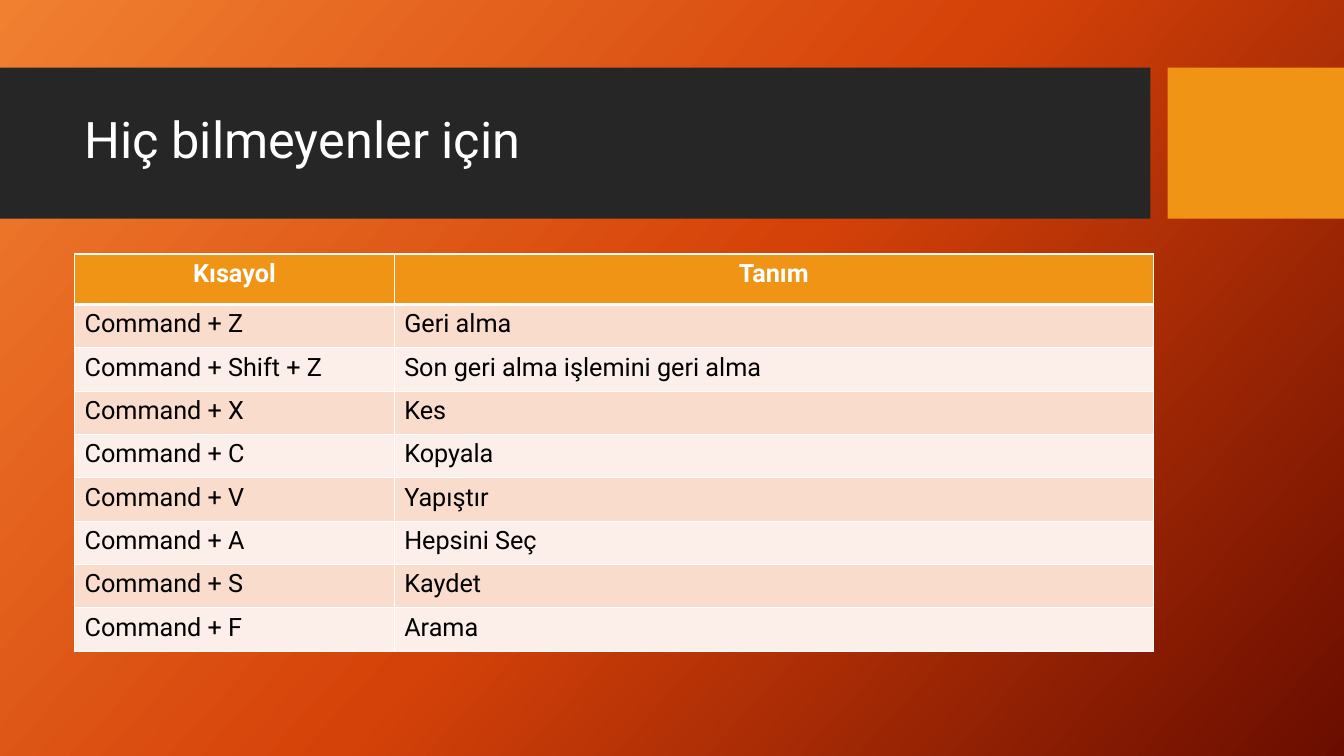
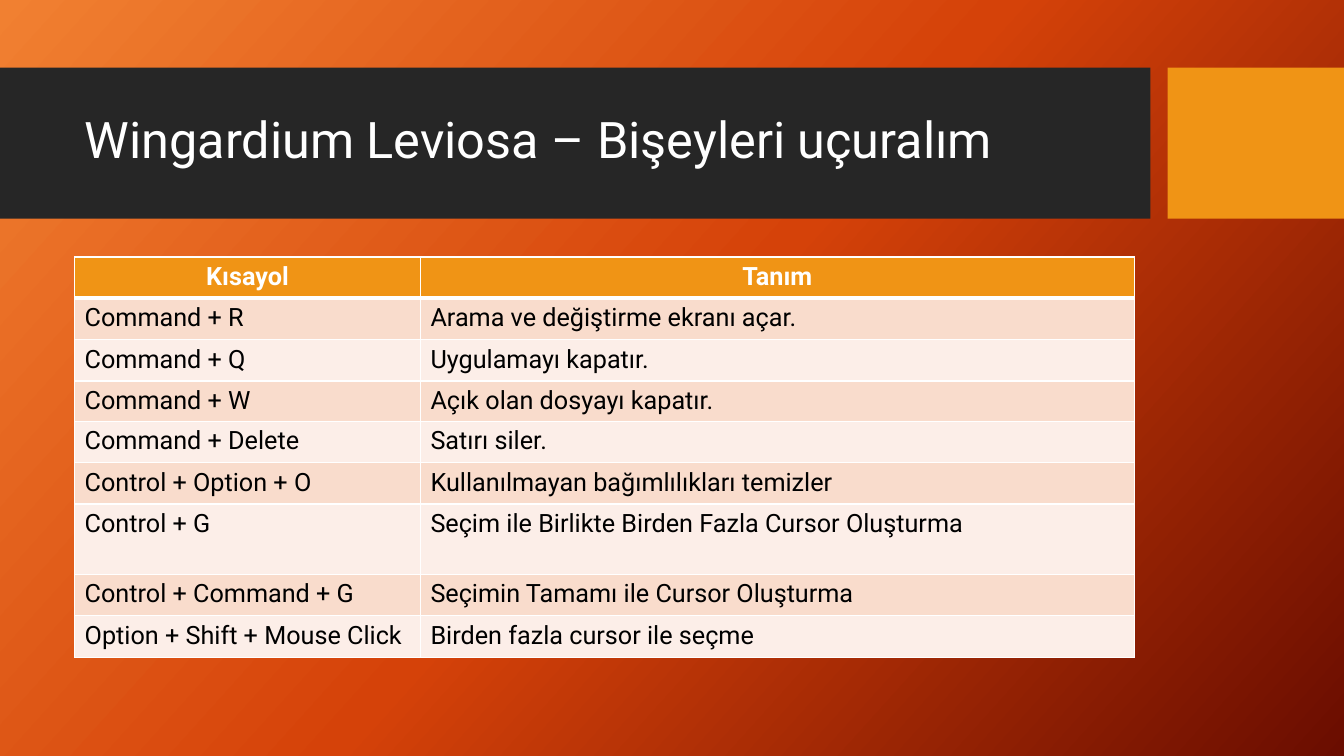
"""Build two slides of editor keyboard shortcuts, each with a title band and a table."""
from copy import deepcopy

from lxml import etree
from pptx import Presentation
from pptx.dml.color import RGBColor
from pptx.enum.shapes import MSO_SHAPE
from pptx.enum.text import MSO_ANCHOR, PP_ALIGN
from pptx.oxml.ns import qn
from pptx.util import Inches, Pt

RECTANGLE = MSO_SHAPE.RECTANGLE
MIDDLE = MSO_ANCHOR.MIDDLE
LEFT, CENTER = PP_ALIGN.LEFT, PP_ALIGN.CENTER

FONT = "Roboto"
COLORS = {
    "white": "FFFFFF",
    "black": "000000",
    "band": "262626",
    "accent": "F09415",
    "row_dark": "F9DCCC",
    "row_light": "FCEEE8",
}
BACKGROUND_STOPS = [(0, "F18031"), (0.5, "D54209"), (1, "6A0D00")]
BACKGROUND_ANGLE = 42
BANDS = [(0, 11.41, "band"), (11.58, 1.75, "accent")]
MARGIN = 0.74
HEADER = ("Kısayol", "Tanım")

SLIDES = [
    {
        "title": "Hiç bilmeyenler için",
        "top": 2.52,
        "columns": [3.17, 7.53],
        "heights": [0.5] + [0.43] * 8,
        "shortcuts": [
            ("Command + Z", "Geri alma"),
            ("Command + Shift + Z", "Son geri alma işlemini geri alma"),
            ("Command + X", "Kes"),
            ("Command + C", "Kopyala"),
            ("Command + V", "Yapıştır"),
            ("Command + A", "Hepsini Seç"),
            ("Command + S", "Kaydet"),
            ("Command + F", "Arama"),
        ],
    },
    {
        "title": "Wingardium Leviosa – Bişeyleri uçuralım",
        "top": 2.55,
        "columns": [3.43, 7.08],
        "heights": [0.41] * 3 + [0.4] + [0.41] * 2 + [0.7] + [0.41] * 2,
        "shortcuts": [
            ("Command + R", "Arama ve değiştirme ekranı açar."),
            ("Command + Q", "Uygulamayı kapatır."),
            ("Command + W", "Açık olan dosyayı kapatır."),
            ("Command + Delete", "Satırı siler."),
            ("Control + Option + O", "Kullanılmayan bağımlılıkları temizler"),
            ("Control + G", "Seçim ile Birlikte Birden Fazla Cursor Oluşturma"),
            ("Control + Command + G", "Seçimin Tamamı ile Cursor Oluşturma"),
            ("Option + Shift + Mouse Click", "Birden fazla cursor ile seçme"),
        ],
    },
]


def write_text(frame, text, size, color, bold=False, align=LEFT):
    para = frame.paragraphs[0]
    para.text = text
    para.alignment = align
    para.font.name = FONT
    para.font.size = Pt(size)
    para.font.bold = bold
    para.font.color.rgb = RGBColor.from_string(COLORS[color])
    return para


def set_borders(cell, top, bottom):
    properties = cell._tc.get_or_add_tcPr()
    widths = {"a:lnL": 1, "a:lnR": 1, "a:lnT": top, "a:lnB": bottom}
    for position, (tag, width) in enumerate(widths.items()):
        line = etree.Element(qn(tag), w=str(Pt(width)))
        fill = etree.SubElement(line, qn("a:solidFill"))
        etree.SubElement(fill, qn("a:srgbClr"), val=COLORS["white"])
        properties.insert(position, line)


deck = Presentation()
deck.slide_width = Inches(13.33)
deck.slide_height = Inches(7.5)

for content in SLIDES:
    page = deck.slides.add_slide(deck.slide_layouts[6])

    background = page.background.fill
    background.gradient()
    background.gradient_angle = 360 - BACKGROUND_ANGLE
    stop_list = page.element.find(".//" + qn("a:gsLst"))
    stop_list.append(deepcopy(stop_list[0]))
    for stop, (position, color) in zip(background.gradient_stops, BACKGROUND_STOPS):
        stop.position = position
        stop.color.rgb = RGBColor.from_string(color)

    for left, width, color in BANDS:
        band = page.shapes.add_shape(
            RECTANGLE, Inches(left), Inches(0.67), Inches(width), Inches(1.5))
        band.shadow.inherit = False
        band.fill.solid()
        band.fill.fore_color.rgb = RGBColor.from_string(COLORS[color])
        band.line.fill.background()

    title = page.shapes.add_textbox(
        Inches(MARGIN), Inches(0.82), Inches(10.51), Inches(1.18))
    title.text_frame.word_wrap = True
    title.text_frame.vertical_anchor = MIDDLE
    write_text(title.text_frame, content["title"], 36, "white").line_spacing = 0.9

    rows = [HEADER] + content["shortcuts"]
    table = page.shapes.add_table(
        len(rows), len(HEADER), Inches(MARGIN), Inches(content["top"]),
        Inches(sum(content["columns"])), Inches(sum(content["heights"]))).table
    for column, width in zip(table.columns, content["columns"]):
        column.width = Inches(width)

    for index, texts in enumerate(rows):
        table.rows[index].height = Inches(content["heights"][index])
        is_header = index == 0
        if is_header:
            fill_color = "accent"
        else:
            fill_color = "row_dark" if index % 2 else "row_light"
        for cell, text in zip(table.rows[index].cells, texts):
            cell.fill.solid()
            cell.fill.fore_color.rgb = RGBColor.from_string(COLORS[fill_color])
            set_borders(cell, top=3 if index == 1 else 1, bottom=3 if is_header else 1)
            write_text(cell.text_frame, text, 18, "white" if is_header else "black",
                       bold=is_header, align=CENTER if is_header else LEFT)

deck.save("out.pptx")
